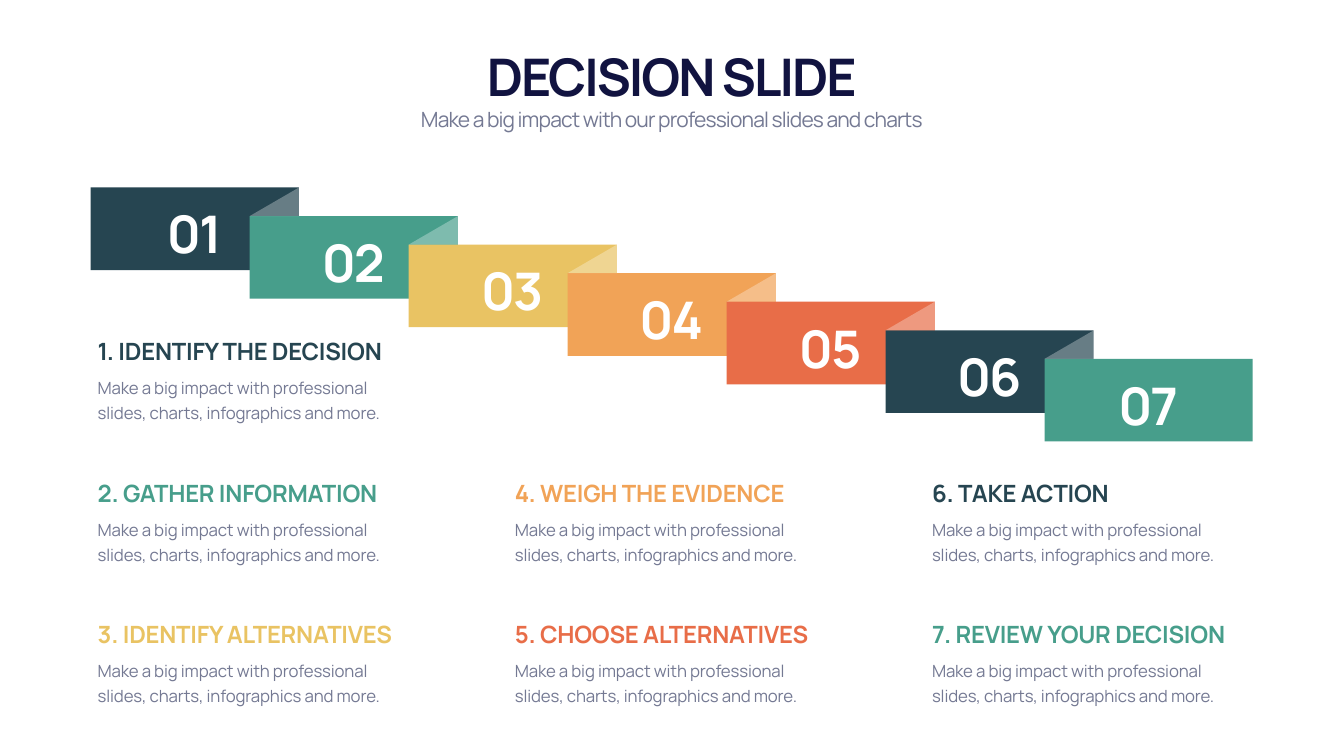
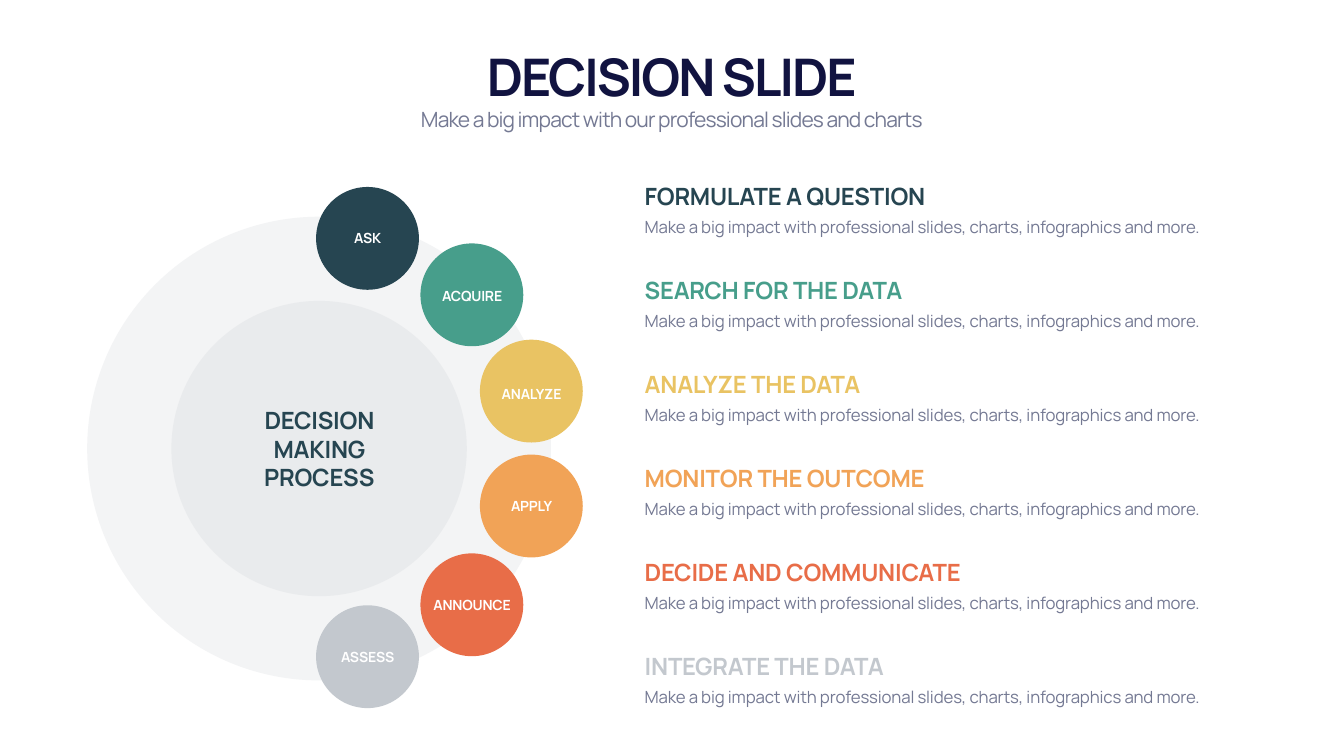
"""Build two decision slides: a folded ribbon of steps and a ring of stages."""
from itertools import product

from lxml import etree
from pptx import Presentation
from pptx import util as u
from pptx.dml import color as col
from pptx.enum import shapes as shp, text as txt
from pptx.oxml import ns

FONT = "Manrope"
HUES = {
    "title": "111340", "body": "747993", "white": "FFFFFF",
    "navy": "264551", "green": "479E8B", "gold": "E9C363",
    "orange": "F1A357", "coral": "E86D48", "gray": "C3C8CE",
}
STYLES = {
    "title": (74, True, -2.9),
    "tagline": (30, False, -1.2),
    "head": (34, True, -0.3),
    "body": (24, False, -0.2),
    "label": (20, True, -0.3),
}
ALIGNS = {"left": txt.PP_ALIGN.LEFT, "center": txt.PP_ALIGN.CENTER}
ANCHORS = {
    "top": txt.MSO_ANCHOR.TOP,
    "middle": txt.MSO_ANCHOR.MIDDLE,
    "bottom": txt.MSO_ANCHOR.BOTTOM,
}
BODY = "Make a big impact with professional slides, charts, infographics and more."

STEPS = [
    ("IDENTIFY THE DECISION", "navy"),
    ("GATHER INFORMATION", "green"),
    ("IDENTIFY ALTERNATIVES", "gold"),
    ("WEIGH THE EVIDENCE", "orange"),
    ("CHOOSE ALTERNATIVES", "coral"),
    ("TAKE ACTION", "navy"),
    ("REVIEW YOUR DECISION", "green"),
]
STAGES = [
    ("ASK", "FORMULATE A QUESTION", "navy", 7.29, 4.73, 4.73),
    ("ACQUIRE", "SEARCH FOR THE DATA", "green", 9.36, 5.85, 5.88),
    ("ANALYZE", "ANALYZE THE DATA", "gold", 10.54, 7.76, 7.81),
    ("APPLY", "MONITOR THE OUTCOME", "orange", 10.54, 10.04, 10.04),
    ("ANNOUNCE", "DECIDE AND COMMUNICATE", "coral", 9.36, 12, 12),
    ("ASSESS", "INTEGRATE THE DATA", "gray", 7.29, 13.03, 13.04),
]


def paint(shape, hue, alpha=None):
    """Give a shape a flat fill, with an optional opacity in percent."""
    shape.shadow.inherit = False
    shape.fill.solid()
    shape.fill.fore_color.rgb = col.RGBColor.from_string(HUES[hue])
    shape.line.fill.background()
    if alpha is not None:
        tint = shape._element.spPr.find(".//" + ns.qn("a:srgbClr"))
        etree.SubElement(tint, ns.qn("a:alpha"), val=str(alpha * 1000))


def block(slide, left, top, width, height, hue):
    """Draw a filled rectangle."""
    box = [u.Inches(n) for n in (left, top, width, height)]
    paint(slide.shapes.add_shape(shp.MSO_SHAPE.RECTANGLE, *box), hue)


def disc(slide, mid_x, mid_y, size, hue, alpha=None):
    """Draw a filled circle about its centre."""
    box = [u.Inches(n) for n in (mid_x - size / 2, mid_y - size / 2, size, size)]
    paint(slide.shapes.add_shape(shp.MSO_SHAPE.OVAL, *box), hue, alpha)


def fold(slide, left, top, right, base):
    """Draw the pale corner where one ribbon block turns into the next."""
    points = [(u.Inches(x), u.Inches(y))
              for x, y in ((right, top), (left, base), (right, base))]
    form = slide.shapes.build_freeform(*points[0])
    form.add_line_segments(points[1:], close=True)
    paint(form.convert_to_shape(), "white", 30)


def write(slide, words, box, style, hue, align="left", anchor="top"):
    """Add a wrapped text box in one of the shared styles."""
    frame = slide.shapes.add_textbox(*[u.Inches(n) for n in box]).text_frame
    frame.text = words
    frame.word_wrap = True
    frame.auto_size = txt.MSO_AUTO_SIZE.SHAPE_TO_FIT_TEXT
    frame.vertical_anchor = ANCHORS[anchor]
    size, bold, space = STYLES[style]
    line = frame.paragraphs[0]
    line.alignment = ALIGNS[align]
    if style == "body":
        line.line_spacing = u.Pt(36)
    run = line.runs[0]
    run.font.name = FONT
    run.font.size = u.Pt(size)
    run.font.bold = bold
    run.font.color.rgb = col.RGBColor.from_string(HUES[hue])
    run._r.get_or_add_rPr().set("spc", str(round(space * 100)))


def entry(slide, head, hue, left, top, width, drop, height):
    """Write a coloured heading with its body text below."""
    write(slide, head, (left, top, width, 0.67), "head", hue, anchor="bottom")
    write(slide, BODY, (left, top + drop, width, height), "body", "body")


def start(deck):
    """Add a blank slide with the shared title and tagline."""
    slide = deck.slides.add_slide(deck.slide_layouts[6])
    write(slide, "DECISION SLIDE", (1.66, 0.82, 23.33, 1.35),
          "title", "title", "center", "bottom")
    write(slide, "Make a big impact with our professional slides and charts",
          (1.66, 2.07, 23.33, 0.61), "tagline", "body", "center")
    return slide


def ribbon(deck):
    """Build the slide with seven steps on a falling ribbon."""
    slide = start(deck)
    wide, high = 4.13, 1.64
    spots = [(1.8 + 18.92 / 6 * i, 3.72 + 3.4 / 6 * i) for i in range(len(STEPS))]
    for (left, top), (_, hue) in zip(spots, STEPS):
        block(slide, left, top, wide, high, hue)
    for (left, top), (next_left, next_top) in zip(spots, spots[1:]):
        fold(slide, next_left, top, left + wide, next_top)
    cells = [(0, 0), *product(range(3), (1, 2))]
    for i, ((head, hue), (column, row)) in enumerate(zip(STEPS, cells), 1):
        entry(slide, f"{i}. {head}", hue, 1.84 + 8.275 * column,
              6.63 + 2.805 * row, 6.47, 0.72, 1.09)
    for i, (left, top) in enumerate(spots, 1):
        write(slide, f"{i:02}", (left + 1.1, top + 0.23, 1.91, 1.35),
              "title", "white", "center", "middle")


def ring(deck):
    """Build the slide with six stages around a ring."""
    slide = start(deck)
    for size in (9.2, 5.86):
        disc(slide, 6.33, 8.9, size, "gray", 20)
    for i, (label, head, hue, mid_x, mid_y, text_y) in enumerate(STAGES):
        disc(slide, mid_x, mid_y, 2.04, hue)
        write(slide, label, (mid_x - 0.91, text_y - 0.22, 1.83, 0.44),
              "label", "white", "center", "middle")
        entry(slide, head, hue, 12.69, 3.55 + 1.864 * i, 12.41, 0.61, 0.58)
    write(slide, "DECISION MAKING PROCESS", (4.6, 7.99, 3.47, 1.82),
          "head", "navy", "center", "middle")


def main():
    """Make the deck and save it."""
    deck = Presentation()
    deck.slide_width = u.Inches(26.66)
    deck.slide_height = u.Inches(15)
    ribbon(deck)
    ring(deck)
    deck.save("out.pptx")


main()
